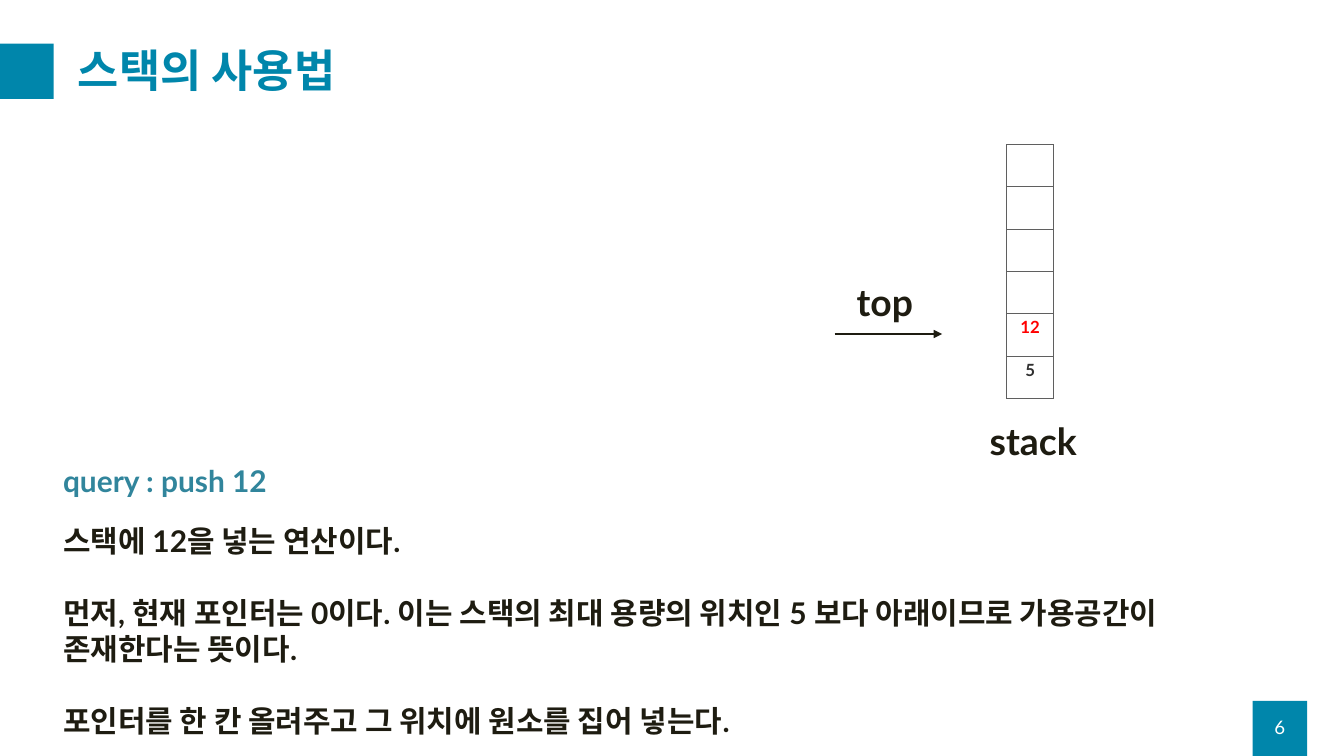
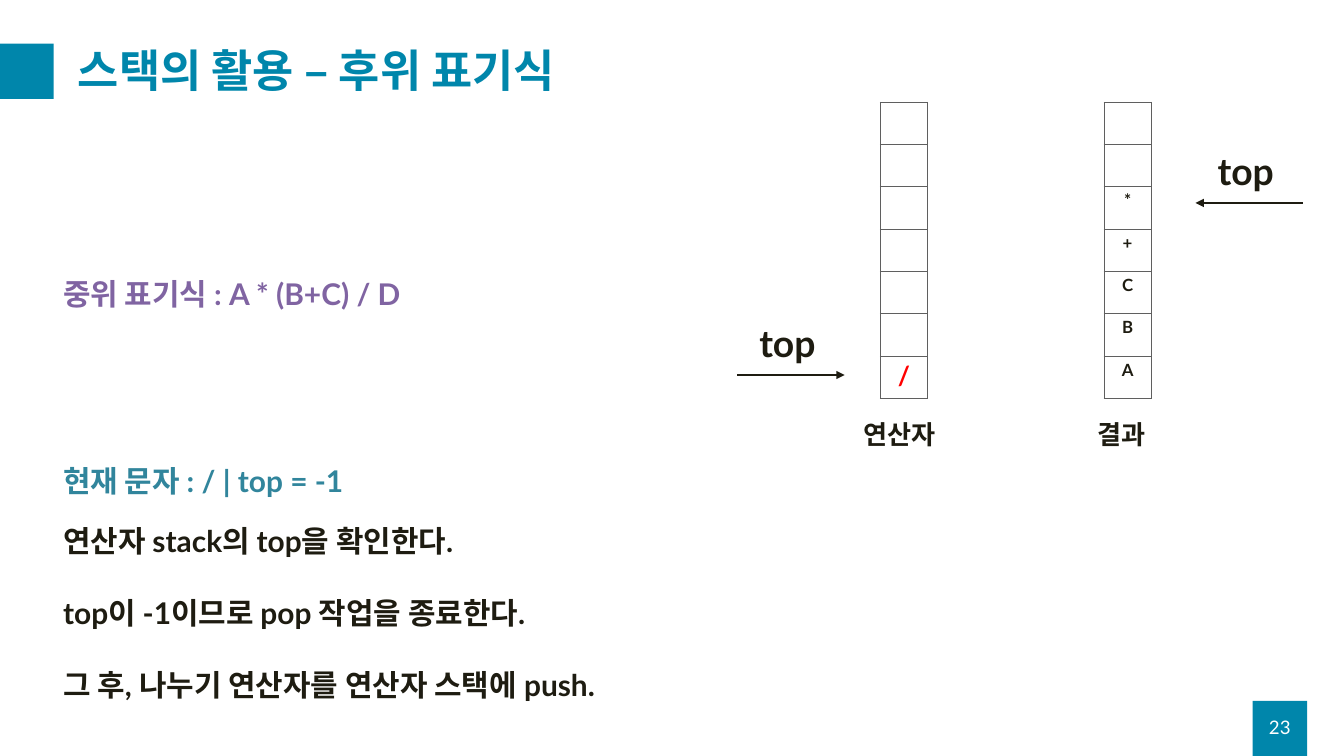
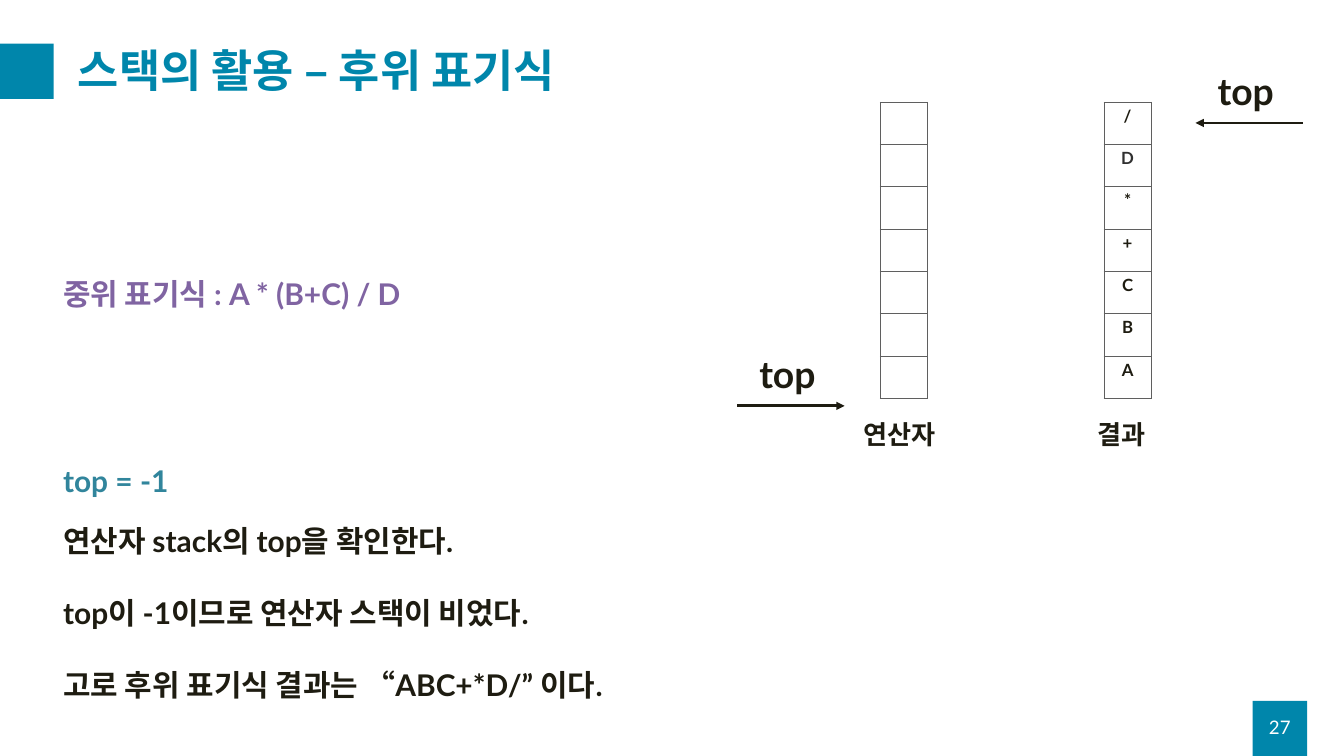
import pptx
import pptx.dml.color
import pptx.enum.shapes
import pptx.enum.text
import pptx.oxml
import pptx.oxml.ns
import pptx.util

COLUMNS, ROWS = 20, 11.25
UNIT = pptx.util.Inches(1)
FONT = "Lato"
TEAL, QUERY_BLUE, PURPLE = "0086AB", "31859C", "8064A2"
INK, GREY, RED, WHITE, RULE = "1E1C11", "303030", "FF0000", "FFFFFF", "5F5F5F"
BAND = 0.82
CELL_WIDTH, CELL_HEIGHT, STACK_BOTTOM = 0.7, 0.63, 5.93
TEXT_LEFT, QUERY_TOP, CAPTION_TOP = 0.84, 6.83, 6.18
POINTER_LENGTH = 1.6
LINE_GAP = 38.5
PLAIN_SLOT = (18, INK)
GREY_SLOT = (18, GREY)
INFIX = "중위 표기식 : A * (B+C) / D"
CHECK_TOP = "연산자 stack의 top을 확인한다."
POSTFIX_TITLE = "스택의 활용 – 후위 표기식"


def grid(*counts):
    """Turn counts of grid columns or rows into lengths."""
    return [round(count * UNIT) for count in counts]


def color(hex_string):
    """Turn a hex string into a colour."""
    return pptx.dml.color.RGBColor.from_string(hex_string)


def style(paragraph, size, hex_string, bold=True, align="LEFT"):
    """Format the runs and the alignment of a paragraph."""
    paragraph.alignment = getattr(pptx.enum.text.PP_ALIGN, align)
    for run in paragraph.runs:
        run.font.name = FONT
        run.font.size = pptx.util.Pt(size)
        run.font.bold = bold
        run.font.color.rgb = color(hex_string)


def add_label(slide, text, area, size, hex_string, bold=True, align="LEFT"):
    """Write one line of text in a text box."""
    label = slide.shapes.add_textbox(*grid(*area))
    label.text_frame.word_wrap = True
    label.text_frame.text = text
    style(label.text_frame.paragraphs[0], size, hex_string, bold, align)
    return label


def add_band(slide, left, top):
    """Draw a teal square of the frame that all slides share."""
    band = slide.shapes.add_shape(
        pptx.enum.shapes.MSO_SHAPE.RECTANGLE, *grid(left, top, 0.81, BAND))
    band.shadow.inherit = False
    band.fill.solid()
    band.fill.fore_color.rgb = color(TEAL)
    band.line.fill.background()


def fill_placeholder(placeholder, area, paragraphs):
    """Move a placeholder, and give it its paragraphs without automatic fitting."""
    placeholder.left, placeholder.top, placeholder.width, placeholder.height = grid(*area)
    placeholder.text_frame.text = "\n".join(paragraphs)
    placeholder.text_frame.auto_size = pptx.enum.text.MSO_AUTO_SIZE.NONE
    return placeholder.text_frame


def add_page(deck, title, number, explanation):
    """Add a slide with its bands, title, number and explanation."""
    slide = deck.slides.add_slide(deck.slide_layouts[1])
    add_band(slide, -0.01, 0.65)
    add_band(slide, 18.64, ROWS - BAND)
    heading = fill_placeholder(slide.shapes.title, (1.06, 0.5, 18.25, 1.18), [title])
    heading.vertical_anchor = pptx.enum.text.MSO_ANCHOR.MIDDLE
    heading.paragraphs[0].line_spacing = 0.9
    style(heading.paragraphs[0], 48, TEAL)
    body = fill_placeholder(
        slide.placeholders[1], (TEXT_LEFT, 7.73, 17.32, 3.33), explanation)
    for index, paragraph in enumerate(body.paragraphs):
        properties = paragraph._p.get_or_add_pPr()
        properties.set("marL", "0")
        properties.set("indent", "0")
        pptx.oxml.ns.qn("a:buNone")
        properties.append(pptx.oxml.parse_xml(
            f'<a:buNone {pptx.oxml.ns.nsdecls("a")}/>'))
        paragraph.space_before = pptx.util.Pt(LINE_GAP if index else 0)
        style(paragraph, 32, INK)
    page_number = add_label(
        slide, str(number), (18.64, 10.52, 0.81, 0.6), 20, WHITE, False, "CENTER")
    page_number.text_frame.vertical_anchor = pptx.enum.text.MSO_ANCHOR.MIDDLE
    return slide


def outline_cell(cell):
    """Give a cell thin borders and no fill."""
    for side in "LRTB":
        cell._tc.get_or_add_tcPr().append(pptx.oxml.parse_xml(
            f'<a:ln{side} {pptx.oxml.ns.nsdecls("a")} w="12700"><a:solidFill>'
            f'<a:srgbClr val="{RULE}"/></a:solidFill></a:ln{side}>'))
    cell.fill.background()


def add_stack(slide, left, capacity, elements):
    """Draw a stack whose elements are listed from the bottom up."""
    height = capacity * CELL_HEIGHT
    stack = slide.shapes.add_table(
        capacity, 1,
        *grid(left, STACK_BOTTOM - height, CELL_WIDTH, height)).table
    stack.first_row = stack.horz_banding = False
    for slot in range(capacity):
        cell = stack.cell(capacity - 1 - slot, 0)
        outline_cell(cell)
        if slot < len(elements):
            value, (size, hex_string) = elements[slot]
            cell.text_frame.text = value
            style(cell.text_frame.paragraphs[0], size, hex_string, align="CENTER")


def add_top_pointer(slide, left, level, points_right=True):
    """Draw the top arrow at a level, with its label above it."""
    tail, tip = left, left + POINTER_LENGTH
    if not points_right:
        tail, tip = tip, tail
    arrow = slide.shapes.add_connector(
        pptx.enum.shapes.MSO_CONNECTOR.STRAIGHT, *grid(tail, level, tip, level))
    arrow.line.color.rgb = color(INK)
    arrow.line.width = pptx.util.Pt(3)
    namespace = pptx.oxml.ns.nsdecls("a")
    arrow.line._get_or_add_ln().append(
        pptx.oxml.parse_xml(f'<a:tailEnd {namespace} type="triangle"/>'))
    arrow._element.spPr.append(pptx.oxml.parse_xml(f'<a:effectLst {namespace}/>'))
    add_label(slide, "top", (left + 0.23, level - 0.86, 1.71, 0.77), 40, INK)


def add_query(slide, text):
    """Write the step that the explanation below is about."""
    add_label(slide, text, (TEXT_LEFT, QUERY_TOP, 5.8, 0.64), 32, QUERY_BLUE)


def add_postfix_page(deck, number, query, explanation, operators, result, levels):
    """Add a step of the conversion, with the operator and result stacks."""
    slide = add_page(deck, POSTFIX_TITLE, number, explanation)
    add_label(slide, INFIX, (TEXT_LEFT, 4.06, 5.8, 0.64), 32, PURPLE)
    add_stack(slide, 13.1, 7, operators)
    add_label(slide, "연산자", (12.75, CAPTION_TOP, 1.71, 0.57), 28, INK)
    add_stack(slide, 16.43, 7, result)
    add_label(slide, "결과", (16.24, CAPTION_TOP, 2.15, 0.57), 28, INK)
    operator_level, result_level = levels
    add_top_pointer(slide, 10.97, operator_level)
    add_top_pointer(slide, 17.79, result_level, points_right=False)
    add_query(slide, query)


def add_push_page(deck):
    """Add the slide on pushing an element."""
    slide = add_page(deck, "스택의 사용법", 6, [
        "스택에 12을 넣는 연산이다.",
        "먼저, 현재 포인터는 0이다. 이는 스택의 최대 용량의 위치인 5 보다 아래이므로 "
        "가용공간이 존재한다는 뜻이다.",
        "포인터를 한 칸 올려주고 그 위치에 원소를 집어 넣는다."])
    add_stack(slide, 14.98, 6, [("5", GREY_SLOT), ("12", (18, RED))])
    add_label(slide, "stack", (14.63, CAPTION_TOP, 1.71, 0.77), 40, INK)
    add_top_pointer(slide, 12.42, 4.97)
    add_query(slide, "query : push 12")


def main():
    """Build the deck."""
    deck = pptx.Presentation()
    deck.slide_width, deck.slide_height = grid(COLUMNS, ROWS)
    add_push_page(deck)
    result = [(symbol, PLAIN_SLOT) for symbol in "ABC+*"]
    add_postfix_page(
        deck, 23, "현재 문자 : / | top = -1",
        [CHECK_TOP, "top이 -1이므로 pop 작업을 종료한다.",
         "그 후, 나누기 연산자를 연산자 스택에 push."],
        [("/", (28, RED))], result, (5.58, 3.02))
    add_postfix_page(
        deck, 27, "top = -1",
        [CHECK_TOP, "top이 -1이므로 연산자 스택이 비었다.",
         "고로 후위 표기식 결과는 “ABC+*D/” 이다."],
        [], result + [("D", GREY_SLOT), ("/", PLAIN_SLOT)], (6.04, 1.83))
    deck.save("out.pptx")


if __name__ == "__main__":
    main()
